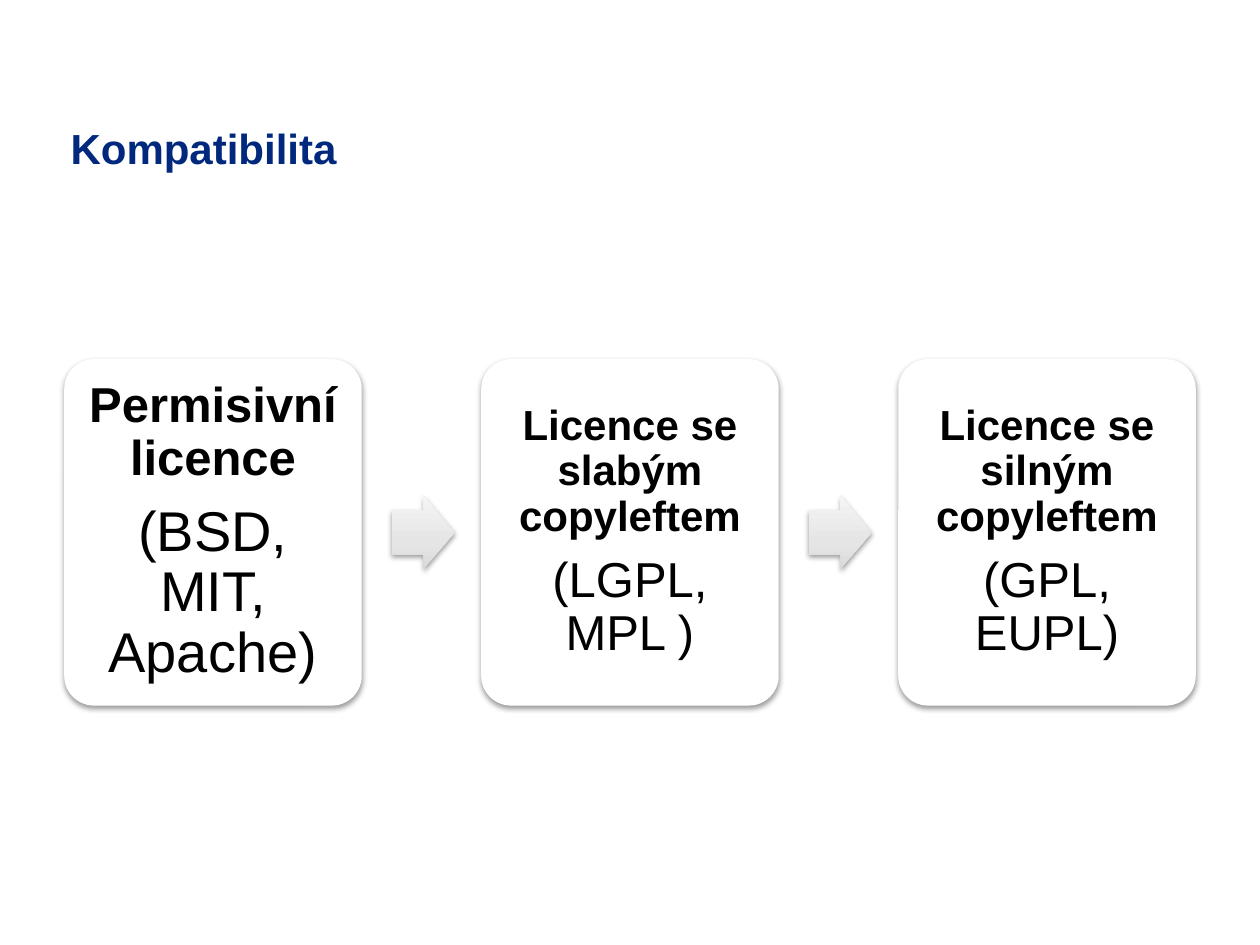
from lxml.etree import SubElement
from pptx import Presentation
from pptx.dml.color import RGBColor
from pptx.enum.shapes import MSO_SHAPE
from pptx.enum.text import MSO_ANCHOR, MSO_AUTO_SIZE, PP_ALIGN
from pptx.oxml import parse_xml
from pptx.oxml.ns import nsdecls, qn
from pptx.util import Pt


def rgb(value):
    return RGBColor.from_string(value)


class Deck:
    font = "Arial"
    ink = "000000"
    accent = "00287D"
    card_fill = "FFFFFF"
    arrow_stops = ((0, "DADADA"), (35, "E5E5E5"), (100, "F5F5F5"))

    def __init__(self, slide):
        self.s = slide

    def frame(self, tf, anchor, horizontal, vertical):
        tf.word_wrap = True
        tf.auto_size = MSO_AUTO_SIZE.NONE
        tf.vertical_anchor = anchor
        tf.margin_left = tf.margin_right = Pt(horizontal)
        tf.margin_top = tf.margin_bottom = Pt(vertical)

    def run(self, p, text, size, color, bold):
        r = p.add_run()
        r.text = text
        r.font.name = self.font
        r.font.size = Pt(size)
        r.font.bold = bold
        r.font.color.rgb = rgb(color)

    def title(self, text, x, y, w, h):
        sp = self.s.shapes.title
        sp.left, sp.top, sp.width, sp.height = Pt(x), Pt(y), Pt(w), Pt(h)
        self.frame(sp.text_frame, MSO_ANCHOR.BOTTOM, 0, 3.6)
        p = sp.text_frame.paragraphs[0]
        p.alignment = PP_ALIGN.LEFT
        self.run(p, text, 24, self.accent, True)

    def shape(self, kind, x, y, w, h, adjustment):
        sp = self.s.shapes.add_shape(kind, Pt(x), Pt(y), Pt(w), Pt(h))
        sp.adjustments[0] = adjustment
        sp.line.fill.background()
        return sp

    def shadow(self, sp):
        sp.shadow.inherit = False
        effects = sp._element.spPr.find(qn("a:effectLst"))
        outer = SubElement(effects, qn("a:outerShdw"), blurRad=str(Pt(3.1)),
                           dist=str(Pt(1.6)), dir="5400000", rotWithShape="0")
        color = SubElement(outer, qn("a:srgbClr"), val=self.ink)
        SubElement(color, qn("a:alpha"), val="38000")

    def card(self, x, y, w, h, heading, examples, size):
        sp = self.shape(MSO_SHAPE.ROUNDED_RECTANGLE, x, y, w, h, 0.1)
        sp.fill.solid()
        sp.fill.fore_color.rgb = rgb(self.card_fill)
        self.shadow(sp)
        tf = sp.text_frame
        inset = 0.3 * size
        self.frame(tf, MSO_ANCHOR.MIDDLE, inset, inset)
        lines = ((heading, size, True), (examples, size + 4, False))
        for i, (text, points, bold) in enumerate(lines):
            p = tf.add_paragraph() if i else tf.paragraphs[0]
            p.alignment = PP_ALIGN.CENTER
            p.line_spacing = 0.9
            p.space_after = Pt(0.35 * points)
            self.run(p, text, points, self.ink, bold)

    def arrow(self, x, y, w, h):
        sp = self.shape(MSO_SHAPE.RIGHT_ARROW, x, y, w, h, 0.6)
        stops = "".join(
            f'<a:gs pos="{pos * 1000}"><a:srgbClr val="{color}"/></a:gs>'
            for pos, color in self.arrow_stops)
        sp._element.spPr.find(qn("a:prstGeom")).addnext(parse_xml(
            f'<a:gradFill {nsdecls("a")} rotWithShape="1"><a:gsLst>{stops}</a:gsLst>'
            '<a:lin ang="16200000" scaled="0"/></a:gradFill>'))
        self.shadow(sp)


def main():
    prs = Presentation()
    prs.slide_width, prs.slide_height = Pt(720), Pt(540)
    deck = Deck(prs.slides.add_slide(prs.slide_layouts[5]))
    deck.title("Kompatibilita", 40.3, 62.6, 636.5, 39.6)

    left, top, width, height, pitch = 36.7, 205.2, 170, 198, 238.3
    arrow_w, arrow_h, arrow_offset = 36, 42.4, 187.2
    licences = (
        ("Permisivní licence", "(BSD, MIT, Apache)", 28),
        ("Licence se slabým copyleftem", "(LGPL, MPL )", 24),
        ("Licence se silným copyleftem", "(GPL, EUPL)", 24),
    )
    for i, licence in enumerate(licences):
        x = left + i * pitch
        deck.card(x, top, width, height, *licence)
        if i < len(licences) - 1:
            deck.arrow(x + arrow_offset, top + (height - arrow_h) / 2, arrow_w, arrow_h)
    prs.save("out.pptx")


if __name__ == "__main__":
    main()
